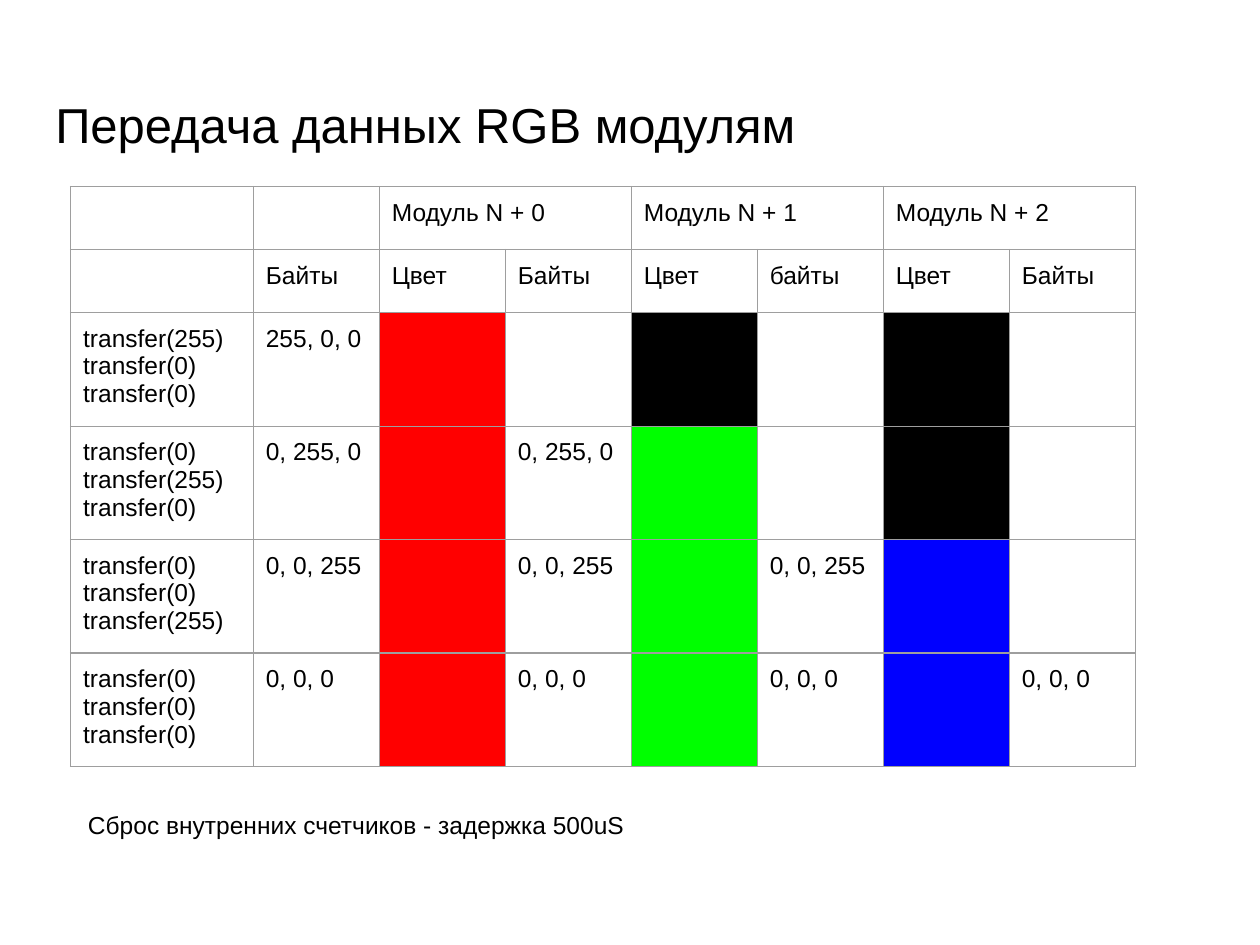
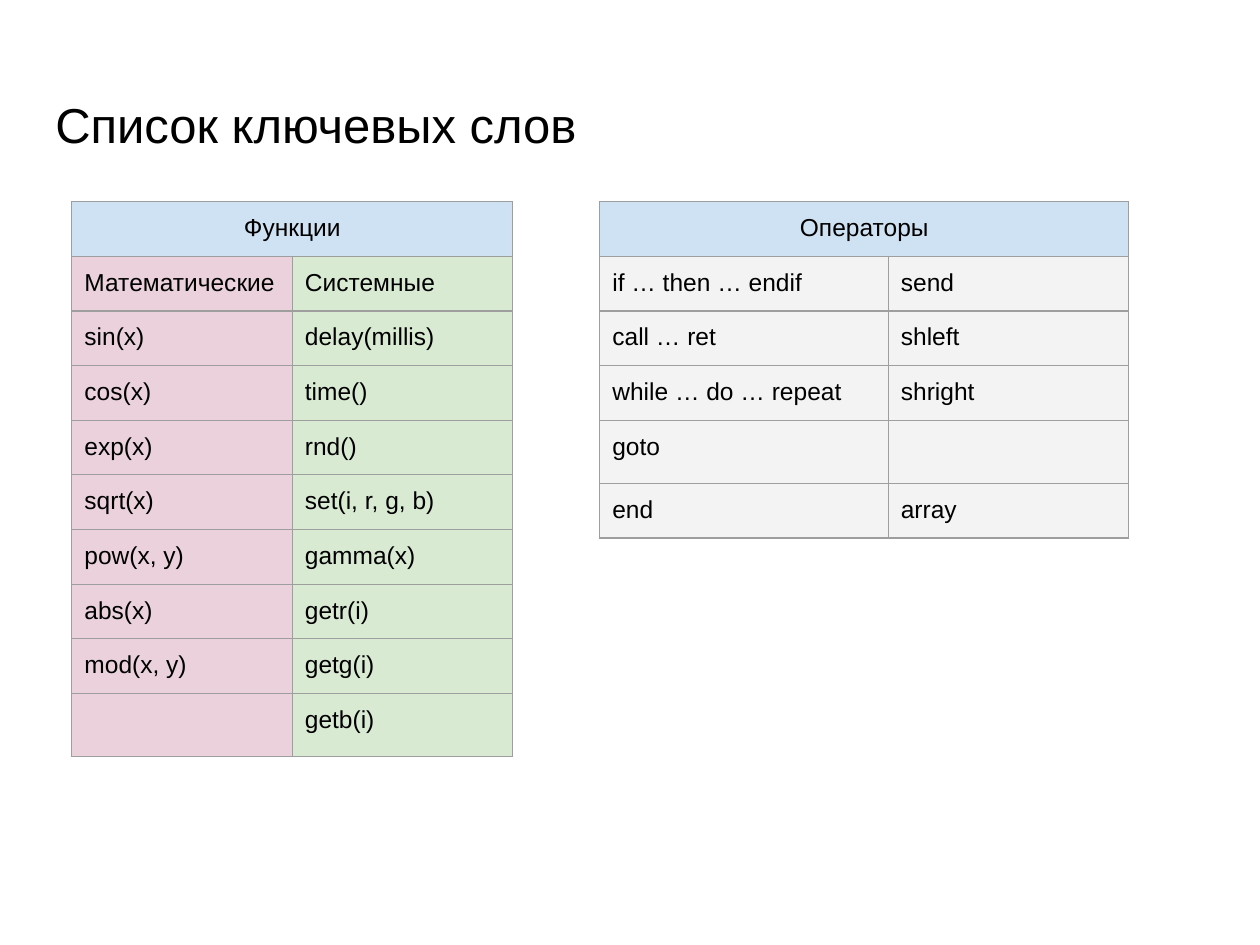
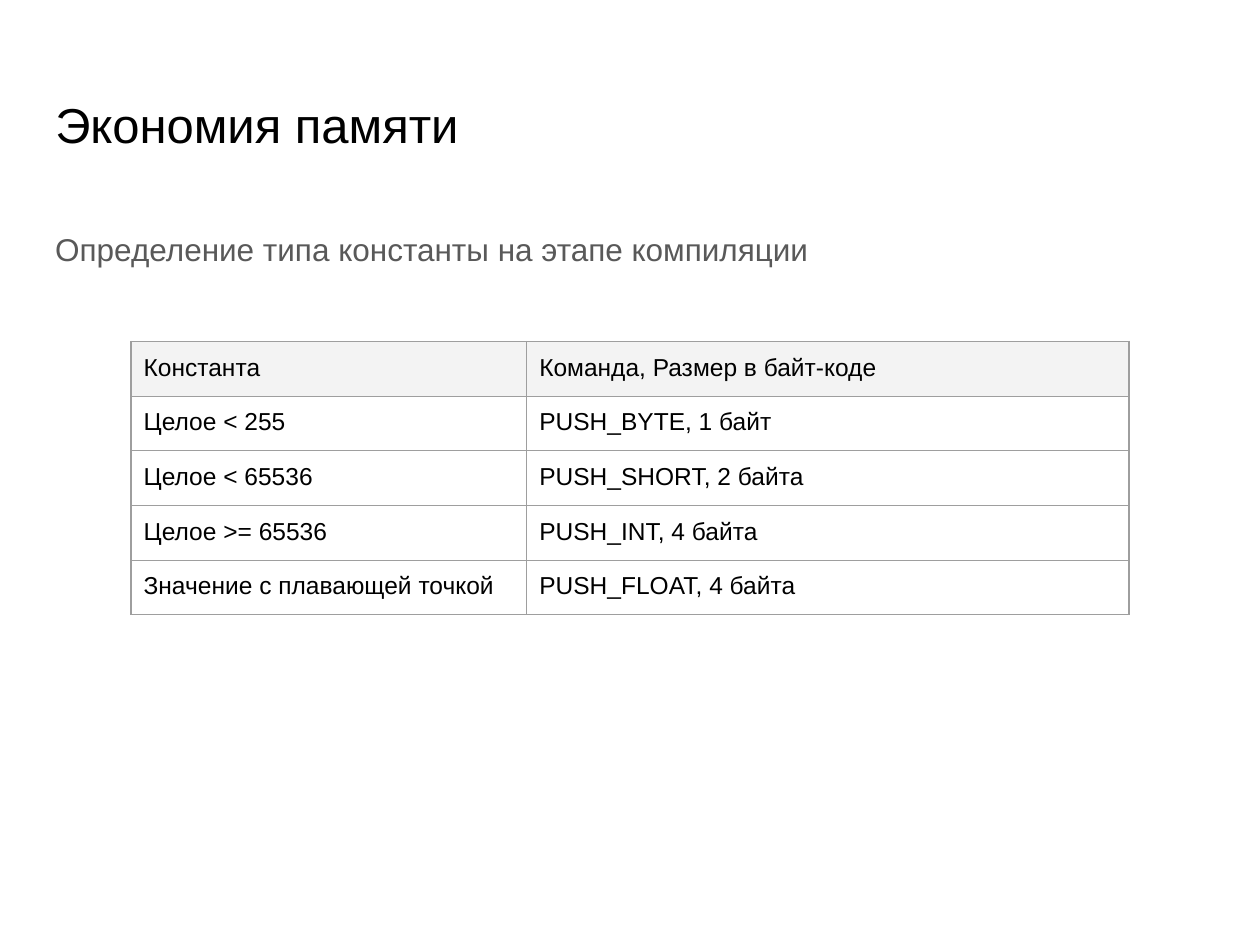
"""Builds three slides of tables on RGB modules, keywords and memory use."""
from lxml.etree import SubElement
from pptx import Presentation
from pptx.dml.color import RGBColor
from pptx.enum.text import PP_ALIGN
from pptx.oxml.ns import qn
from pptx.util import Inches, Pt

FONT = "Arial"
HUES = {
    "text": "000000", "soft": "595959", "line": "9E9E9E",
    "red": "FF0000", "green": "00FF00", "blue": "0000FF", "black": "000000",
    "head": "CFE2F3", "pink": "EAD1DC", "mint": "D9EAD3", "gray": "F3F3F3",
}

SENDS = [(255, 0, 0), (0, 255, 0), (0, 0, 255), (0, 0, 0)]
LAMPS = ["red", "green", "blue"]
MODULES = [
    ["", "", "Модуль N + 0", None, "Модуль N + 1", None, "Модуль N + 2", None],
    ["", "Байты", "Цвет", "Байты", "Цвет", "байты", "Цвет", "Байты"],
]
FUNCS = [
    ["Функции", None],
    ["Математические", "Системные"],
    ["sin(x)", "delay(millis)"],
    ["cos(x)", "time()"],
    ["exp(x)", "rnd()"],
    ["sqrt(x)", "set(i, r, g, b)"],
    ["pow(x, y)", "gamma(x)"],
    ["abs(x)", "getr(i)"],
    ["mod(x, y)", "getg(i)"],
    ["", "getb(i)"],
]
WORDS = [
    ["Операторы", None],
    ["if … then … endif", "send"],
    ["call … ret", "shleft"],
    ["while … do … repeat", "shright"],
    ["goto", ""],
    ["end", "array"],
]
TYPES = [
    ["Константа", "Команда, Размер в байт-коде"],
    ["Целое < 255", "PUSH_BYTE, 1 байт"],
    ["Целое < 65536", "PUSH_SHORT, 2 байта"],
    ["Целое >= 65536", "PUSH_INT, 4 байта"],
    ["Значение с плавающей точкой", "PUSH_FLOAT, 4 байта"],
]


def rgb(name):
    return RGBColor.from_string(HUES[name])


def style(para, size, hue="text"):
    para.font.name = FONT
    para.font.size = Pt(size)
    para.font.color.rgb = rgb(hue)


def inset(item):
    for side in ("left", "top", "right", "bottom"):
        setattr(item, f"margin_{side}", Inches(0.1))


def add_text(slide, text, box, size, hue="text"):
    frame = slide.shapes.add_textbox(*map(Inches, box)).text_frame
    frame.word_wrap = True
    inset(frame)
    frame.text = text
    para = frame.paragraphs[0]
    style(para, size, hue)
    return para


def add_page(deck, title):
    slide = deck.slides.add_slide(deck.slide_layouts[6])
    add_text(slide, title, (0.34, 0.65, 9.32, 0.83), 28)
    return slide


def paint(cell, hue):
    props = cell._tc.get_or_add_tcPr()
    for side in "LRTB":
        line = SubElement(props, qn(f"a:ln{side}"), w=str(Pt(0.75)))
        fill = SubElement(line, qn("a:solidFill"))
        SubElement(fill, qn("a:srgbClr"), val=HUES["line"])
    if hue:
        cell.fill.solid()
        cell.fill.fore_color.rgb = rgb(hue)
    else:
        cell.fill.background()


def add_grid(slide, rows, hues, left, top, wides, highs):
    frame = slide.shapes.add_table(
        len(rows), len(wides), Inches(left), Inches(top),
        Inches(sum(wides)), Inches(sum(highs)))
    grid = frame.table
    grid.first_row = grid.horz_banding = False
    for col, wide in zip(grid.columns, wides):
        col.width = Inches(wide)
    for row, high in zip(grid.rows, highs):
        row.height = Inches(high)
    for r, row in enumerate(rows):
        for c, text in enumerate(row):
            cell = grid.cell(r, c)
            inset(cell)
            paint(cell, hues[r][c])
            if text is None:
                grid.cell(r, c - 1).merge(cell)
            elif text:
                cell.text = text
                for para in cell.text_frame.paragraphs:
                    style(para, 14)
    return grid


def add_list(slide, rows, hues, left, top, wides):
    return add_grid(slide, rows, hues, left, top, wides, [0.42] * len(rows))


def add_keys(slide, rows, pair, left, wides):
    hues = [["head"] * 2] + [pair] * (len(rows) - 1)
    grid = add_list(slide, rows, hues, left, 1.6, wides)
    grid.cell(0, 0).text_frame.paragraphs[0].alignment = PP_ALIGN.CENTER


def module_rows():
    rows, hues = list(MODULES), [[None] * 8 for _ in MODULES]
    for step, send in enumerate(SENDS):
        data = ", ".join(map(str, send))
        row = ["\n".join(f"transfer({n})" for n in send), data]
        tint = [None, None]
        for spot, lamp in enumerate(LAMPS):
            row += ["", data if step > spot else ""]
            tint += [lamp if step >= spot else "black", None]
        rows.append(row)
        hues.append(tint)
    return rows, hues


def main():
    deck = Presentation()
    deck.slide_width, deck.slide_height = Inches(10), Inches(7.5)

    slide = add_page(deck, "Передача данных RGB модулям")
    rows, hues = module_rows()
    add_grid(slide, rows, hues, 0.56, 1.48, [1.45] + [1] * 7,
             [0.49, 0.44] + [0.74] * len(SENDS))
    add_text(slide, "Сброс внутренних счетчиков - задержка 500uS",
             (0.6, 6.33, 8.3, 0.68), 14)

    slide = add_page(deck, "Список ключевых слов")
    add_keys(slide, FUNCS, ["pink", "mint"], 0.57, [1.75, 1.75])
    add_keys(slide, WORDS, ["gray", "gray"], 4.76, [2.29, 1.91])

    slide = add_page(deck, "Экономия памяти")
    para = add_text(slide, "Определение типа константы на этапе компиляции",
                    (0.34, 1.68, 7.54, 1.46), 18, "soft")
    para.line_spacing = 1.15
    para.space_after = Pt(16)
    hues = [["gray"] * 2] + [[None] * 2] * (len(TYPES) - 1)
    add_list(slide, TYPES, hues, 1.04, 2.71, [3.14, 4.78])

    deck.save("out.pptx")


if __name__ == "__main__":
    main()
